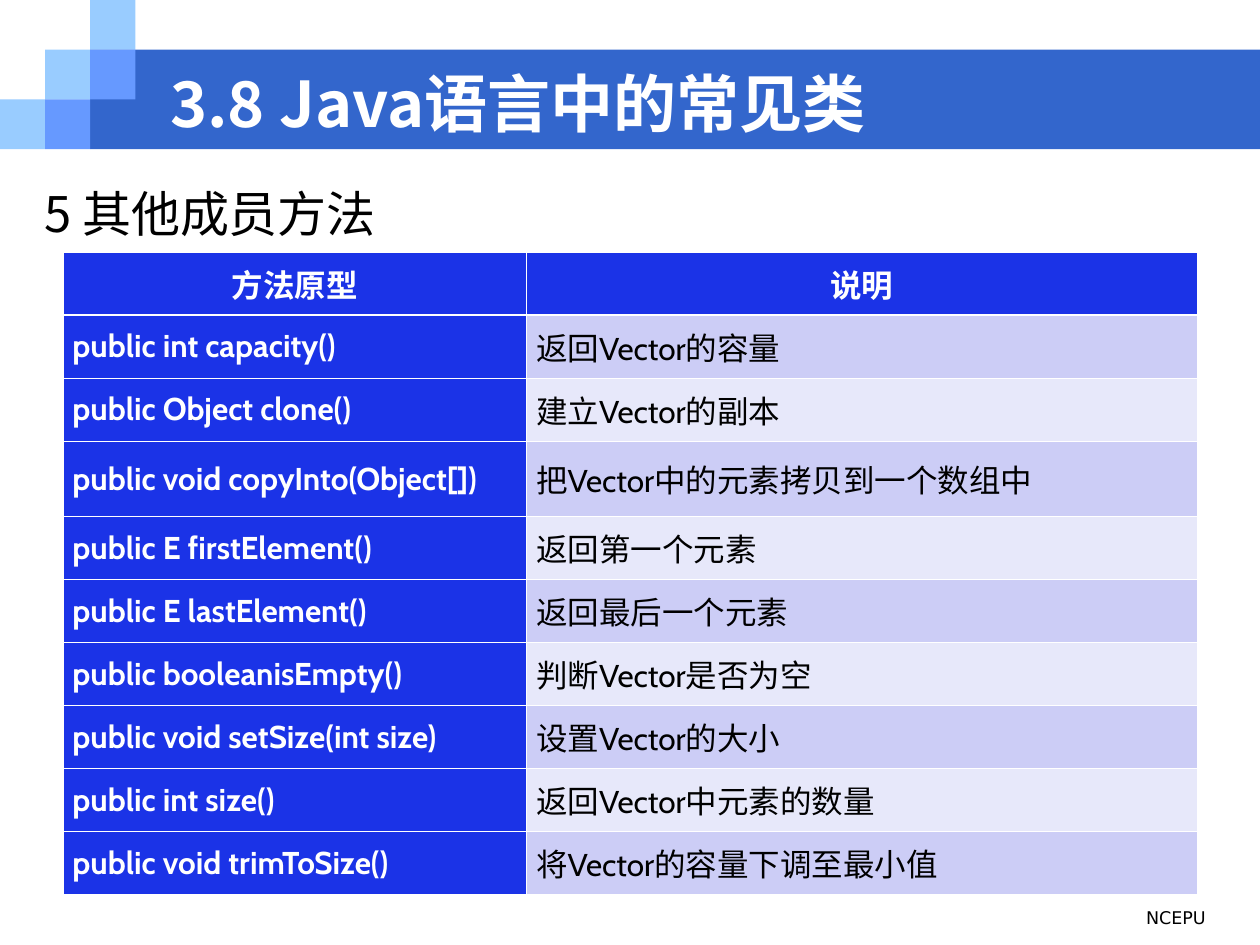
from lxml.etree import SubElement
from pptx import Presentation
from pptx.dml.color import RGBColor
from pptx.enum.shapes import MSO_SHAPE
from pptx.enum.text import MSO_ANCHOR, MSO_AUTO_SIZE, PP_ALIGN
from pptx.oxml.ns import qn
from pptx.util import Pt

COLORS = {
    "bar": "3366CC", "light_square": "99CCFF", "dark_square": "6699FF",
    "header": "1B33E7", "odd_row": "CCCDF6", "even_row": "E7E8FA",
    "white": "FFFFFF", "black": "000000",
}
CJK_FONT = "Noto Sans CJK SC"
SQUARE_WIDTH, SQUARE_HEIGHT = 25.8, 28.4
# Column and row of each square in the corner motif
SQUARES = [
    (0, 2, "light_square"), (1, 1, "light_square"), (2, 0, "light_square"),
    (2, 1, "dark_square"), (1, 2, "dark_square"),
]
METHODS = [
    ("方法原型", "说明"),
    ("public int capacity()", "返回Vector的容量"),
    ("public Object clone()", "建立Vector的副本"),
    ("public void copyInto(Object[])", "把Vector中的元素拷贝到一个数组中"),
    ("public E firstElement()", "返回第一个元素"),
    ("public E lastElement()", "返回最后一个元素"),
    ("public booleanisEmpty()", "判断Vector是否为空"),
    ("public void setSize(int size)", "设置Vector的大小"),
    ("public int size()", "返回Vector中元素的数量"),
    ("public void trimToSize()", "将Vector的容量下调至最小值"),
]
COLUMN_WIDTHS = (265, 383)
ROW_HEIGHT, TALL_ROW_HEIGHT, TALL_ROW = 36, 43.2, 3


def rgb(name):
    return RGBColor.from_string(COLORS[name])


def set_attributes(target, values):
    for name, value in values.items():
        setattr(target, name, value)


def place(shape, left, top, width, height):
    set_attributes(shape, {"left": Pt(left), "top": Pt(top),
                           "width": Pt(width), "height": Pt(height)})


def write_text(frame, text, color, paragraph_format, font_format):
    paragraph = frame.paragraphs[0]
    set_attributes(paragraph, paragraph_format)
    run = paragraph.add_run()
    run.text = text
    set_attributes(run.font, font_format)
    run.font.color.rgb = rgb(color)
    SubElement(run.font._element, qn("a:ea"), typeface=CJK_FONT)
    return paragraph


def add_rectangle(slide, left, top, width, height, color):
    shape = slide.shapes.add_shape(
        MSO_SHAPE.RECTANGLE, Pt(left), Pt(top), Pt(width), Pt(height))
    shape.shadow.inherit = False
    shape.fill.solid()
    shape.fill.fore_color.rgb = rgb(color)
    shape.line.fill.background()


def add_banner(slide):
    left = 2 * SQUARE_WIDTH
    add_rectangle(slide, left, SQUARE_HEIGHT, 720 - left,
                  2 * SQUARE_HEIGHT, "bar")
    for column, row, color in SQUARES:
        add_rectangle(slide, column * SQUARE_WIDTH, row * SQUARE_HEIGHT,
                      SQUARE_WIDTH, SQUARE_HEIGHT, color)


def fill_placeholder(slide, shape, box, text, color, anchor,
                     paragraph_format, font_format):
    place(shape, *box)
    set_attributes(shape.text_frame, {
        "auto_size": MSO_AUTO_SIZE.NONE, "word_wrap": True,
        "vertical_anchor": anchor})
    slide.shapes._spTree.append(shape._element)  # in front of the banner
    return write_text(shape.text_frame, text, color,
                      paragraph_format, font_format)


def add_footer(slide):
    box = slide.shapes.add_textbox(Pt(468), Pt(515), Pt(228), Pt(25))
    box.text_frame.word_wrap = True
    write_text(box.text_frame, "NCEPU", "black",
               {"alignment": PP_ALIGN.RIGHT},
               {"size": Pt(10), "name": "DejaVu Sans"})


def set_borders(cell, widths):
    properties = cell._tc.get_or_add_tcPr()
    for index, (side, width) in enumerate(widths.items()):
        line = properties.makeelement(qn(f"a:{side}"), {"w": str(Pt(width))})
        fill = SubElement(line, qn("a:solidFill"))
        SubElement(fill, qn("a:srgbClr"), val=COLORS["white"])
        properties.insert(index, line)


def format_cell(cell, text, row, column):
    is_header = row == 0
    is_strong = is_header or column == 0
    band = "odd_row" if row % 2 else "even_row"
    cell.fill.solid()
    cell.fill.fore_color.rgb = rgb("header" if is_strong else band)
    set_attributes(cell, {
        "vertical_anchor": MSO_ANCHOR.MIDDLE,
        "margin_left": Pt(5.4), "margin_right": Pt(5.4),
        "margin_top": Pt(3.6), "margin_bottom": Pt(3.6)})
    write_text(cell.text_frame, text, "white" if is_strong else "black",
               {"alignment": PP_ALIGN.CENTER if is_header else PP_ALIGN.LEFT},
               {"size": Pt(18), "name": "Cabin", "bold": is_strong})
    set_borders(cell, {"lnL": 0.45, "lnR": 0.45,
                       "lnT": 1.47 if row == 1 else 0.45,
                       "lnB": 1.47 if is_header else 0.45})


def add_method_table(slide):
    table = slide.shapes.add_table(
        len(METHODS), len(COLUMN_WIDTHS),
        Pt(36), Pt(144), Pt(648), Pt(367.2)).table
    for column, width in zip(table.columns, COLUMN_WIDTHS):
        column.width = Pt(width)
    for row, texts in enumerate(METHODS):
        table.rows[row].height = Pt(
            TALL_ROW_HEIGHT if row == TALL_ROW else ROW_HEIGHT)
        for column, text in enumerate(texts):
            format_cell(table.cell(row, column), text, row, column)


def main():
    presentation = Presentation()
    set_attributes(presentation,
                   {"slide_width": Pt(720), "slide_height": Pt(540)})
    slide = presentation.slides.add_slide(presentation.slide_layouts[1])
    title, body = slide.placeholders

    # Banner and footer
    add_banner(slide)
    add_footer(slide)

    # Title and section heading
    fill_placeholder(
        slide, title, (90, 39.6, 582, 38), "3.8 Java语言中的常见类",
        "white", MSO_ANCHOR.MIDDLE, {"alignment": PP_ALIGN.LEFT},
        {"size": Pt(36), "name": CJK_FONT, "bold": True})
    heading = fill_placeholder(
        slide, body, (18, 84.2, 690, 455.8), "5 其他成员方法",
        "black", MSO_ANCHOR.TOP, {"line_spacing": 1.5, "space_before": Pt(0)},
        {"size": Pt(28), "name": CJK_FONT})
    properties = heading._p.get_or_add_pPr()
    set_indent = {"marL": "0", "indent": "0"}
    for name, value in set_indent.items():
        properties.set(name, value)
    SubElement(properties, qn("a:buNone"))

    # Method table
    add_method_table(slide)
    presentation.save("out.pptx")


if __name__ == "__main__":
    main()
